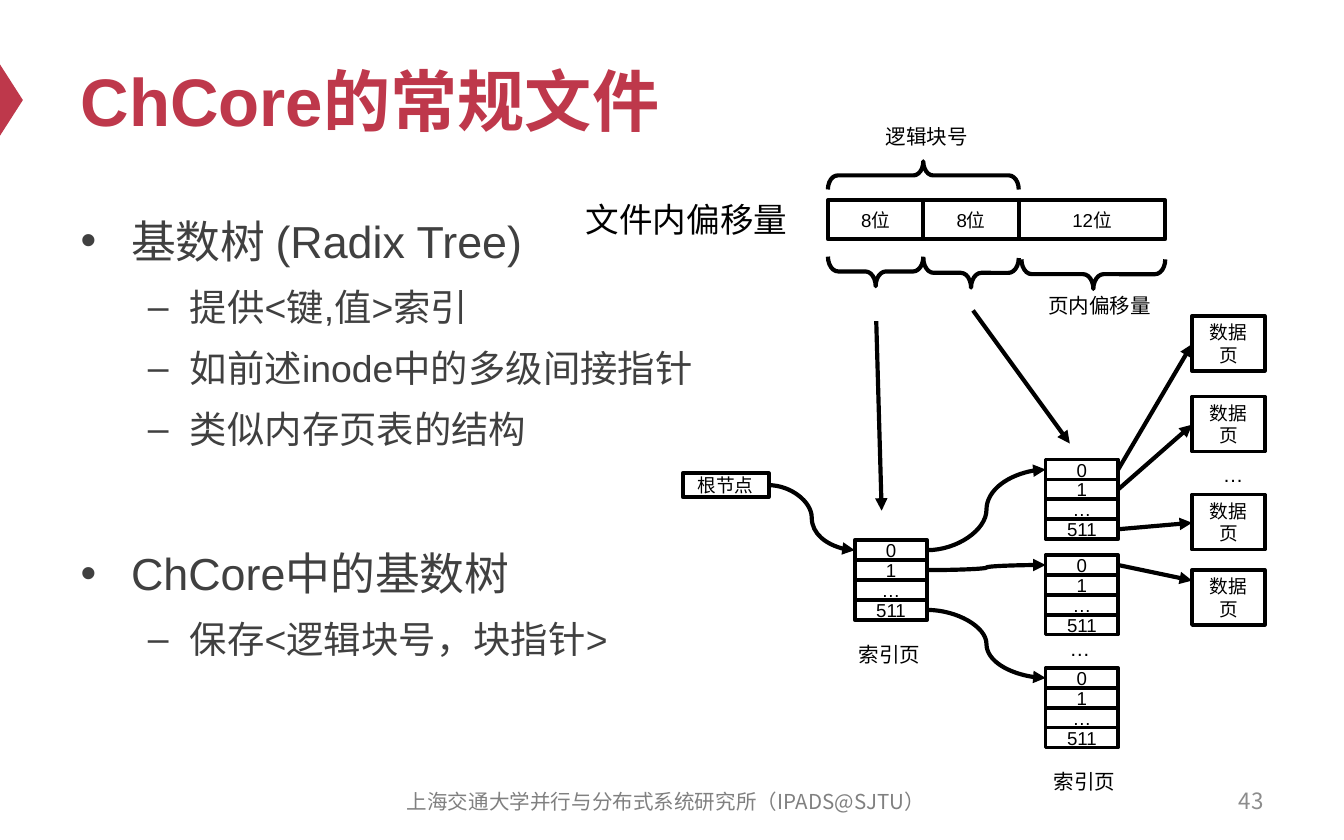
import pptx
import pptx.util
import pptx.dml.color
import pptx.enum.shapes
import pptx.enum.text
import pptx.oxml
import pptx.oxml.ns

Inches = pptx.util.Inches
Pt = pptx.util.Pt
Shape = pptx.enum.shapes.MSO_SHAPE
Connector = pptx.enum.shapes.MSO_CONNECTOR
Align = pptx.enum.text.PP_ALIGN
Anchor = pptx.enum.text.MSO_ANCHOR
AutoSize = pptx.enum.text.MSO_AUTO_SIZE


def color(value):
    return pptx.dml.color.RGBColor.from_string(value)


class SlideBuilder:
    FONT = "Arial"
    FOOTER_FONT = "Noto Sans CJK SC"
    ACCENT, BODY, INK, PAPER = "BE384B", "404040", "000000", "FFFFFF"

    def __init__(self, slide):
        self.slide = slide

    def run(self, paragraph, text, size, ink=INK, font=FONT, bold=False):
        run = paragraph.add_run()
        run.text = text
        run.font.size = Pt(size)
        run.font.name = font
        run.font.bold = bold
        run.font.color.rgb = color(ink)

    def place(self, shape, left, top, width, height):
        shape.left, shape.top = Inches(left), Inches(top)
        shape.width, shape.height = Inches(width), Inches(height)

    def title(self, text, *bounds):
        shape = self.slide.shapes.title
        self.place(shape, *bounds)
        frame = shape.text_frame
        frame.auto_size = AutoSize.NONE
        frame.vertical_anchor = Anchor.MIDDLE
        frame.paragraphs[0].alignment = Align.LEFT
        self.run(frame.paragraphs[0], text, 36, self.ACCENT, bold=True)

    def body(self, items, *bounds):
        """Fill the list with (level, space before or None to inherit, text)."""
        shape = self.slide.placeholders[1]
        self.place(shape, *bounds)
        frame = shape.text_frame
        frame.auto_size = AutoSize.NONE
        for index, (level, space, text) in enumerate(items):
            paragraph = frame.add_paragraph() if index else frame.paragraphs[0]
            paragraph.level = level
            paragraph.line_spacing = 1.2
            if space is not None:
                paragraph.space_before = Pt(space)
            self.run(paragraph, text, 20 if level else 24, self.BODY)

    def label(self, text, left, top, width, height, size=11):
        box = self.slide.shapes.add_textbox(
            Inches(left), Inches(top), Inches(width), Inches(height))
        box.text_frame.word_wrap = False
        self.run(box.text_frame.paragraphs[0], text, size)

    def footer(self, text, left, top, width, size, ink, alignment):
        box = self.slide.shapes.add_textbox(
            Inches(left), Inches(top), Inches(width), Inches(0.33))
        frame = box.text_frame
        frame.word_wrap = True
        frame.vertical_anchor = Anchor.MIDDLE
        frame.paragraphs[0].alignment = alignment
        self.run(frame.paragraphs[0], text, size, ink, self.FOOTER_FONT)

    def preset(self, kind, left, top, width, height, fill=None, line=None):
        shape = self.slide.shapes.add_shape(
            kind, Inches(left), Inches(top), Inches(width), Inches(height))
        shape.shadow.inherit = False
        if fill:
            shape.fill.solid()
            shape.fill.fore_color.rgb = color(fill)
        else:
            shape.fill.background()
        if line:
            shape.line.color.rgb = color(self.INK)
            shape.line.width = Pt(line)
        else:
            shape.line.fill.background()
        return shape

    def box(self, text, left, top, width, height):
        shape = self.preset(Shape.RECTANGLE, left, top, width, height, self.PAPER, 2)
        frame = shape.text_frame
        frame.word_wrap = True
        frame.vertical_anchor = Anchor.MIDDLE
        frame.paragraphs[0].alignment = Align.CENTER
        self.run(frame.paragraphs[0], text, 10)

    def brace(self, left, top, span, depth=0.22, rotation=90):
        """Draw a horizontal brace; rotation 90 points down, 270 points up."""
        shape = self.preset(
            Shape.RIGHT_BRACE, left + (span - depth) / 2, top - (span - depth) / 2,
            depth, span, line=2.25)
        shape.adjustments[0] = 0.347
        shape.rotation = rotation

    def arrow(self, start, end, kind=Connector.STRAIGHT):
        connector = self.slide.shapes.add_connector(
            kind, *(Inches(value) for value in (*start, *end)))
        connector.line.color.rgb = color(self.INK)
        connector.line.width = Pt(2.25)
        line = connector.line._get_or_add_ln()
        pptx.oxml.ns.qn("a:tailEnd")
        line.append(pptx.oxml.parse_xml(
            f'<a:tailEnd {pptx.oxml.ns.nsdecls("a")} type="triangle"/>'))
        connector._element.spPr.append(pptx.oxml.parse_xml(
            f'<a:effectLst {pptx.oxml.ns.nsdecls("a")}/>'))

    def index_page(self, left, top):
        for row, text in enumerate(("0", "1", "…", "511")):
            self.box(text, left, top + row * ROW, PAGE_WIDTH, ROW)


ROW, PAGE_WIDTH = 0.148, 0.54
ROOT_LEFT, ROOT_TOP = 6.36, 4.02
LEAF_LEFT, LEAF_TOPS = 7.78, (3.42, 4.13, 4.97)
DATA_LEFT, DATA_TOPS, DATA_HEIGHT = 8.87, (2.35, 2.95, 3.68, 4.24), 0.41


def row_middle(top, row):
    return top + (row + 0.5) * ROW


def draw_offset_fields(builder):
    left = 6.16
    for text, width in (("8位", 0.71), ("8位", 0.71), ("12位", 1.09)):
        builder.box(text, left, 1.49, width, 0.29)
        left += width
    builder.brace(6.16, 1.2, 1.42, 0.21, 270)
    for brace_left, top, span in ((6.16, 1.91, 0.71), (6.87, 1.92, 0.71), (7.6, 1.93, 1.07)):
        builder.brace(brace_left, top, span)
    builder.label("文件内偏移量", 4.26, 1.43, 1.72, 0.4, 18)
    builder.label("页内偏移量", 7.7, 2.13, 0.97, 0.29)
    builder.label("逻辑块号", 6.49, 0.87, 0.82, 0.29)
    builder.arrow((6.52, 2.39), (6.56, 3.8))
    builder.arrow((7.24, 2.31), (7.96, 3.3))


def draw_radix_tree(builder):
    builder.box("根节点", 5.08, 3.52, 0.64, 0.18)
    builder.index_page(ROOT_LEFT, ROOT_TOP)
    for top in LEAF_TOPS:
        builder.index_page(LEAF_LEFT, top)
    for top in DATA_TOPS:
        builder.box("数据页", DATA_LEFT, top, PAGE_WIDTH, DATA_HEIGHT)

    builder.arrow((5.72, 3.61), (ROOT_LEFT, row_middle(ROOT_TOP, 0)), Connector.CURVE)
    for row, top in zip((0, 1, 3), LEAF_TOPS):
        builder.arrow((ROOT_LEFT + PAGE_WIDTH, row_middle(ROOT_TOP, row)),
                      (LEAF_LEFT, row_middle(top, 0)), Connector.CURVE)
    for leaf, row, target in ((0, 0, 2.56), (0, 1, 3.16), (0, 3, 3.89), (1, 0, 4.32)):
        builder.arrow((LEAF_LEFT + PAGE_WIDTH, row_middle(LEAF_TOPS[leaf], row)),
                      (DATA_LEFT, target))

    for left, top in ((7.86, 4.68), (9, 3.39)):
        builder.label("…", left, top, 0.27, 0.22)
    for left, top in ((6.29, 4.73), (7.74, 5.67)):
        builder.label("索引页", left, top, 0.67, 0.29)


def main():
    presentation = pptx.Presentation()
    presentation.slide_width, presentation.slide_height = Inches(10), Inches(6.25)
    slide = presentation.slides.add_slide(presentation.slide_layouts[1])
    builder = SlideBuilder(slide)
    marker = builder.preset(Shape.ISOSCELES_TRIANGLE, -0.18, 0.66, 0.53, 0.17, builder.ACCENT)
    marker.rotation = 90
    builder.title("ChCore的常规文件", 0.5, 0.25, 9, 0.98)
    builder.body([
        (0, 0, "基数树 (Radix Tree)"),
        (1, None, "提供<键,值>索引"),
        (1, None, "如前述inode中的多级间接指针"),
        (1, None, "类似内存页表的结构"),
        (0, 45, "ChCore中的基数树"),
        (1, None, "保存<逻辑块号，块指针>"),
    ], 0.5, 1.46, 9, 4.12)
    builder.footer("43", 7.17, 5.79, 2.33, 12, "8C8C8C", Align.RIGHT)
    builder.footer("上海交通大学并行与分布式系统研究所（IPADS@SJTU）",
                   2.79, 5.8, 4.33, 11, "808080", Align.CENTER)
    draw_radix_tree(builder)
    draw_offset_fields(builder)
    presentation.save("out.pptx")


if __name__ == "__main__":
    main()
